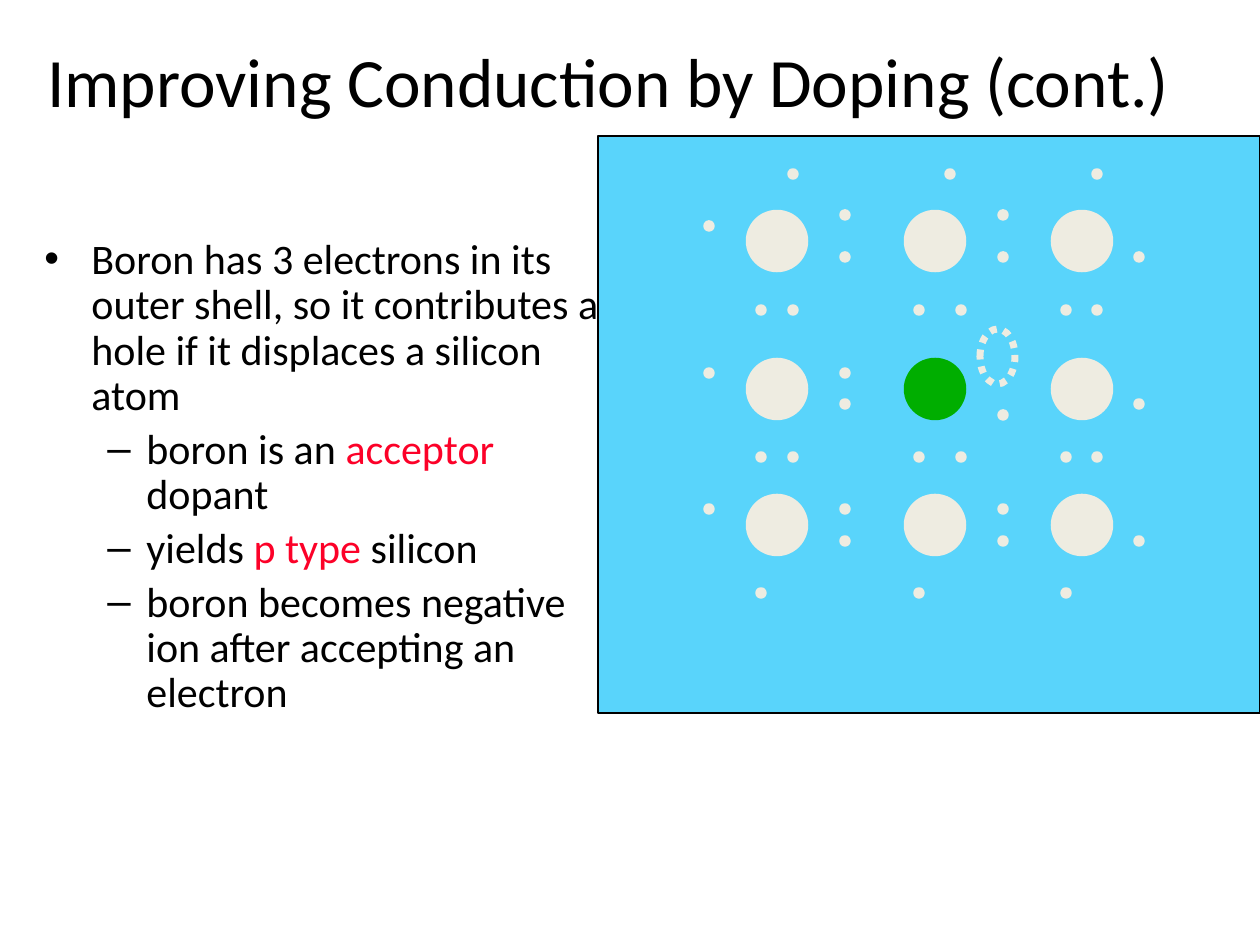
from lxml import etree
from pptx import Presentation
from pptx.dml.color import RGBColor
from pptx.enum.dml import MSO_LINE
from pptx.enum.shapes import MSO_SHAPE
from pptx.enum.text import MSO_ANCHOR, PP_ALIGN
from pptx.oxml.ns import qn
from pptx.util import Emu, Pt

RECT, OVAL = MSO_SHAPE.RECTANGLE, MSO_SHAPE.OVAL
TOP, MIDDLE = MSO_ANCHOR.TOP, MSO_ANCHOR.MIDDLE
CENTER, LEFT = PP_ALIGN.CENTER, PP_ALIGN.LEFT
DOTTED = MSO_LINE.ROUND_DOT  # written as sysDot

PX_PER_INCH = 126
PAGE = (1260, 945)
THEME = {
    "font": "Calibri", "title": 39.6, "body": 24,
    "text": "000000", "accent": "FC0128", "panel": "59D4FB",
    "silicon": "EEECE1", "boron": "00AE00",
}

TITLE = "Improving Conduction by Doping (cont.)"
# (level, [(text, colour name)])
POINTS = [
    (0, [("Boron has 3 electrons in its outer shell, so it contributes a hole "
          "if it displaces a silicon atom", "text")]),
    (1, [("boron is an ", "text"), ("acceptor", "accent"), (" dopant", "text")]),
    (1, [("yields ", "text"), ("p type ", "accent"), ("silicon", "text")]),
    (1, [("boron becomes negative ion after accepting an electron", "text")]),
]
# level: (bullet, left margin, hanging indent)
LEVELS = {0: ("•", 47, 47), 1: ("–", 102, 39)}

TITLE_BOX = (0, 32, 1217, 96)
BODY_BOX = (32, 232, 587, 630)
PANEL = (598, 136, 662, 577)
HOLE = (980, 329, 35, 55)

# Centres of the crystal lattice
ATOM_SIZE, ELECTRON_SIZE = 59, 8
ATOM_COLUMNS = (777, 935, 1082)
ATOM_ROWS = (241, 389, 525)
BORON = (935, 389)
BOND_PAIRS = (761, 793, 919, 961, 1066, 1097)
# y of an electron row: x of its electrons
ELECTRONS = {
    174: (793, 950, 1097),
    215: (845, 1003),
    226: (709,),
    257: (845, 1003, 1139),
    310: BOND_PAIRS,
    373: (709, 845),
    404: (845, 1139),
    415: (1003,),
    457: BOND_PAIRS,
    509: (709, 845, 1003),
    541: (845, 1003, 1139),
    593: (761, 919, 1066),
}


def px(value):
    return Emu(round(value * 914400 / PX_PER_INCH))


def colour(name):
    return RGBColor.from_string(THEME[name])


def add_figure(page, kind, frame, fill, line, width, dash=None):
    figure = page.shapes.add_shape(kind, *map(px, frame))
    figure.shadow.inherit = False
    if fill:
        figure.fill.solid()
        figure.fill.fore_color.rgb = colour(fill)
    else:
        figure.fill.background()
    figure.line.color.rgb = colour(line)
    figure.line.width = Pt(width)
    if dash:
        figure.line.dash_style = dash


def add_disc(page, centre, size, name):
    x, y = centre
    frame = (x - size / 2, y - size / 2, size, size)
    add_figure(page, OVAL, frame, name, name, 2)


def add_text_frame(page, frame, anchor):
    text_frame = page.shapes.add_textbox(*map(px, frame)).text_frame
    text_frame.word_wrap = True
    text_frame.vertical_anchor = anchor
    return text_frame


def add_span(para, text, size, name):
    span = para.add_run()
    span.text = text
    formats = {"name": THEME["font"], "size": Pt(THEME[size])}
    for key, value in formats.items():
        setattr(span.font, key, value)
    span.font.color.rgb = colour(name)


def set_bullet(para, level):
    mark, margin, hang = LEVELS[level]
    properties = para._p.get_or_add_pPr()
    properties.set("marL", str(px(margin)))
    properties.set("indent", str(-px(hang)))
    etree.SubElement(properties, qn("a:buFont"), typeface="Arial")
    etree.SubElement(properties, qn("a:buChar"), char=mark)


def add_title(page):
    para = add_text_frame(page, TITLE_BOX, MIDDLE).paragraphs[0]
    para.alignment = CENTER
    add_span(para, TITLE, "title", "text")


def add_points(page):
    text_frame = add_text_frame(page, BODY_BOX, TOP)
    formats = {"alignment": LEFT, "line_spacing": 0.9, "space_before": Pt(4.8)}
    for index, (level, spans) in enumerate(POINTS):
        para = text_frame.add_paragraph() if index else text_frame.paragraphs[0]
        para.level = level
        for key, value in formats.items():
            setattr(para, key, value)
        set_bullet(para, level)
        for text, name in spans:
            add_span(para, text, "body", name)


def add_lattice(page):
    for y in ATOM_ROWS:
        for x in ATOM_COLUMNS:
            name = "boron" if (x, y) == BORON else "silicon"
            add_disc(page, (x, y), ATOM_SIZE, name)
    for y, columns in ELECTRONS.items():
        for x in columns:
            add_disc(page, (x, y), ELECTRON_SIZE, "silicon")
    add_figure(page, OVAL, HOLE, None, "silicon", 4, DOTTED)


def main():
    deck = Presentation()
    deck.slide_width, deck.slide_height = map(px, PAGE)
    page = deck.slides.add_slide(deck.slide_layouts[6])
    add_figure(page, RECT, PANEL, "panel", "text", 1)
    add_title(page)
    add_points(page)
    add_lattice(page)
    deck.save("out.pptx")


if __name__ == "__main__":
    main()
